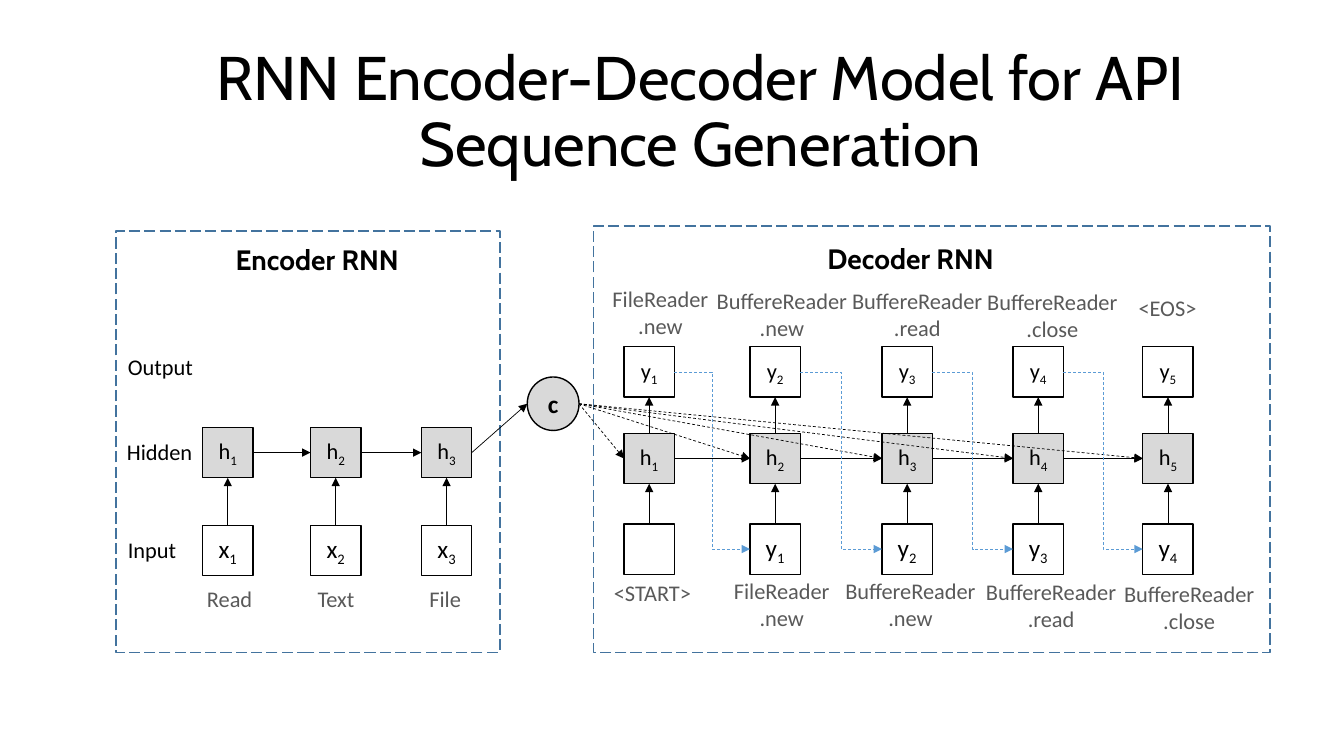
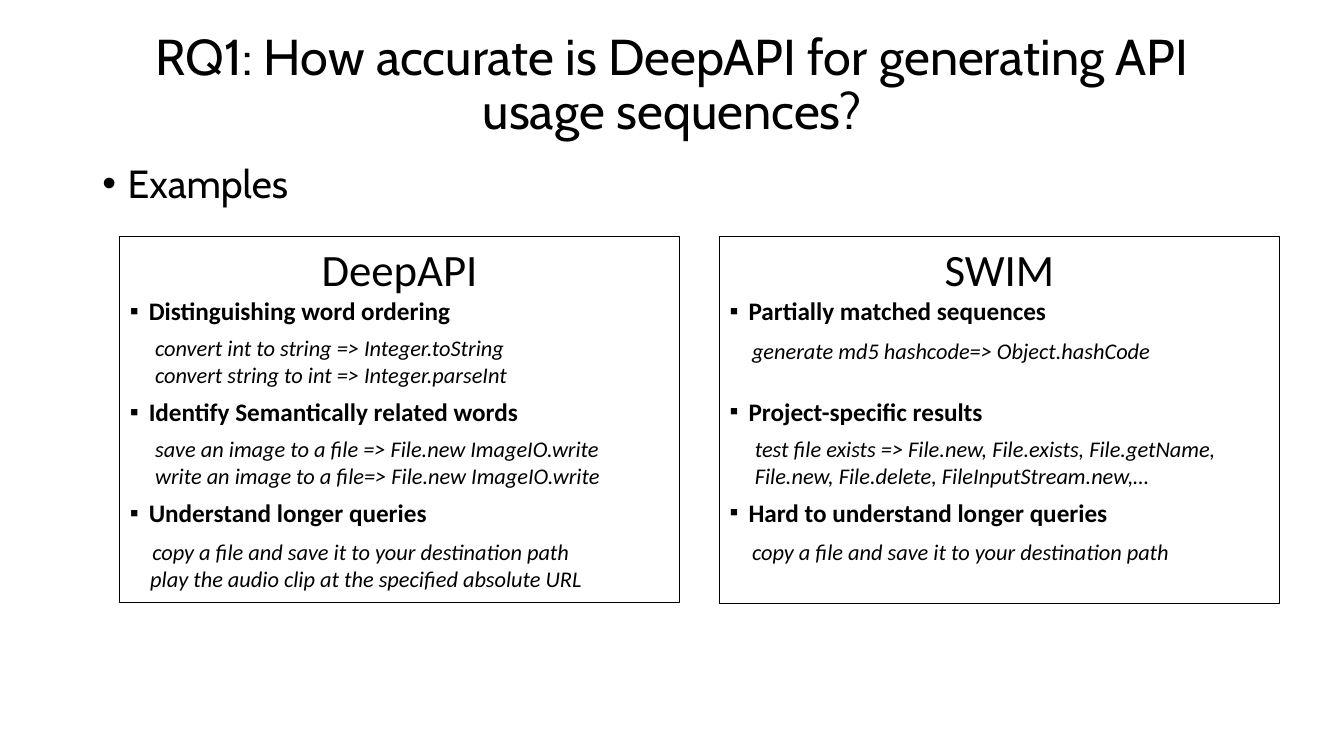
from dataclasses import dataclass

from lxml import etree
from pptx import Presentation
from pptx.dml.color import RGBColor
from pptx.enum.dml import MSO_LINE
from pptx.enum.shapes import MSO_CONNECTOR, MSO_SHAPE
from pptx.enum.text import MSO_ANCHOR, MSO_AUTO_SIZE, PP_ALIGN
from pptx.oxml.ns import qn
from pptx.shapes.autoshape import Shape
from pptx.slide import Slide
from pptx.util import Pt

RECTANGLE, OVAL = MSO_SHAPE.RECTANGLE, MSO_SHAPE.OVAL
STRAIGHT, ELBOW = MSO_CONNECTOR.STRAIGHT, MSO_CONNECTOR.ELBOW
DASH, LONG_DASH = MSO_LINE.DASH, MSO_LINE.LONG_DASH
LEFT_ALIGN, CENTER = PP_ALIGN.LEFT, PP_ALIGN.CENTER
TOP_ANCHOR, MIDDLE = MSO_ANCHOR.TOP, MSO_ANCHOR.MIDDLE
NO_AUTOFIT = MSO_AUTO_SIZE.NONE
TOP, LEFT, BOTTOM, RIGHT = range(4)

HEADING_FONT, TEXT_FONT = "Cabin", "Calibri"
BLACK, WHITE, GRAY = "000000", "FFFFFF", "595959"
STATE_FILL, FRAME_BLUE, FEEDBACK_BLUE = "D9D9D9", "43739E", "5B9BD5"
CELL = 36
LABEL_LINE = 19.5


@dataclass(frozen=True)
class Box:
    left: float
    top: float
    width: float
    height: float


@dataclass(frozen=True)
class TextStyle:
    size: float
    color: str = BLACK
    font: str = TEXT_FONT
    bold: bool = False
    italic: bool = False


@dataclass(frozen=True)
class CellRow:
    names: tuple[str, ...]
    lefts: tuple[float, ...]
    top: float
    size: float
    fill: str | None = None


@dataclass(frozen=True)
class Label:
    text: str
    left: float
    top: float
    width: float


@dataclass(frozen=True)
class Entry:
    text: str
    heading: bool = False
    indent: float = 18
    before: float = 0
    after: float = 0


@dataclass(frozen=True)
class Panel:
    title: str
    box: Box
    entries: tuple[Entry, ...]


ENCODER_LEFTS = (144.7, 221.8, 301)
DECODER_LEFTS = (445.7, 535.7, 630, 723.6, 816.3)
ENCODER_HIDDEN = CellRow(("h1", "h2", "h3"), ENCODER_LEFTS, 305.3, 16, STATE_FILL)
ENCODER_INPUT = CellRow(("x1", "x2", "x3"), ENCODER_LEFTS, 375.3, 18)
DECODER_OUTPUT = CellRow(("y1", "y2", "y3", "y4", "y5"), DECODER_LEFTS, 247.7, 16)
DECODER_HIDDEN = CellRow(("h1", "h2", "h3", "h4", "h5"), DECODER_LEFTS, 309.5, 16, STATE_FILL)
DECODER_INPUT = CellRow(("", "y1", "y2", "y3", "y4"), DECODER_LEFTS, 374.2, 18)

FRAMES = (Box(82.8, 165, 274.3, 301), Box(424.1, 161.3, 483.1, 304.7))
RNN_HEADINGS = (Label("Encoder RNN", 161.3, 170, 150), Label("Decoder RNN", 584, 169.2, 158))
ROW_NAMES = (
    Label("Output", 91.4, 252, 52),
    Label("Hidden", 90.7, 313.2, 52),
    Label("Input", 91.4, 383, 42),
)
TOKENS = (
    Label("Read", 144, 418.3, 40),
    Label("Text", 222, 418.3, 36),
    Label("File", 300, 418.3, 36),
    Label("FileReader\n.new", 432.7, 203.8, 78),
    Label("BuffereReader\n.new", 510.5, 205.2, 96),
    Label("BuffereReader\n.read", 606.2, 205.2, 98),
    Label("BuffereReader\n.close", 702.7, 205.9, 98),
    Label("<EOS>", 808, 210.2, 52),
    Label("<START>", 436, 414, 60),
    Label("FileReader\n.new", 523.4, 412.6, 70),
    Label("BuffereReader\n.new", 599.8, 412.6, 101),
    Label("BuffereReader\n.read", 701.3, 413.3, 99),
    Label("BuffereReader\n.close", 801.4, 414.7, 96),
)

PANELS = (
    Panel("DeepAPI", Box(85.7, 169.2, 399.6, 261), (
        Entry("Distinguishing word ordering", heading=True),
        Entry("convert int to string => Integer.toString", before=6),
        Entry("convert string to int => Integer.parseInt", after=6),
        Entry("Identify Semantically related words", heading=True),
        Entry("save an image to a file => File.new ImageIO.write", before=6),
        Entry("write an image to a file=> File.new ImageIO.write", after=6),
        Entry("Understand longer queries", heading=True),
        Entry("copy a file and save it to your destination path", indent=16, before=8),
        Entry("play the audio clip at the specified absolute URL", indent=14.5, after=6),
    )),
    Panel("SWIM", Box(514.1, 169.2, 399.6, 262), (
        Entry("Partially matched sequences", heading=True),
        Entry("generate md5 hashcode=> Object.hashCode", indent=16, before=8, after=6),
        Entry("Project-specific results", heading=True, before=17),
        Entry("test file exists => File.new, File.exists, File.getName, "
              "File.new, File.delete, FileInputStream.new,…", before=6, after=6),
        Entry("Hard to understand longer queries", heading=True),
        Entry("copy a file and save it to your destination path", indent=16, before=8, after=6),
    )),
)


def rgb(color: str) -> RGBColor:
    return RGBColor.from_string(color)


def format_runs(paragraph, style: TextStyle) -> None:
    for run in paragraph.runs:
        font = run.font
        font.name, font.size = style.font, Pt(style.size)
        font.bold, font.italic = style.bold, style.italic
        font.color.rgb = rgb(style.color)


def set_indent(paragraph, margin: float, first_line: float = 0, bullet: str = "") -> None:
    properties = paragraph._p.get_or_add_pPr()
    properties.set("marL", str(Pt(margin)))
    properties.set("indent", str(Pt(first_line)))
    if bullet:
        etree.SubElement(properties, qn("a:buFont")).set("typeface", "Arial")
        etree.SubElement(properties, qn("a:buChar")).set("char", bullet)


def place(shape: Shape, box: Box) -> None:
    shape.left, shape.top = Pt(box.left), Pt(box.top)
    shape.width, shape.height = Pt(box.width), Pt(box.height)


def write(shape: Shape, text: str, style: TextStyle, align=LEFT_ALIGN,
          anchor=TOP_ANCHOR, inset: bool = True) -> None:
    frame = shape.text_frame
    frame.text = text
    frame.word_wrap, frame.auto_size = True, NO_AUTOFIT
    frame.vertical_anchor = anchor
    frame.margin_left = frame.margin_right = Pt(7.2 if inset else 0)
    frame.margin_top = frame.margin_bottom = Pt(3.6 if inset else 0)
    for paragraph in frame.paragraphs:
        paragraph.alignment = align
        format_runs(paragraph, style)


def add_title(slide: Slide, text: str, box: Box, size: float) -> None:
    title = slide.shapes.title
    place(title, box)
    write(title, text, TextStyle(size, font=HEADING_FONT), CENTER, MIDDLE)
    title.text_frame.paragraphs[0].line_spacing = 0.9


def add_figure(slide: Slide, box: Box, geometry=RECTANGLE, fill: str | None = None,
               line: str | None = BLACK, weight: float = 1, dash=None) -> Shape:
    figure = slide.shapes.add_shape(
        geometry, Pt(box.left), Pt(box.top), Pt(box.width), Pt(box.height))
    figure.shadow.inherit = False
    if fill:
        figure.fill.solid()
        figure.fill.fore_color.rgb = rgb(fill)
    else:
        figure.fill.background()
    if line:
        figure.line.color.rgb = rgb(line)
        figure.line.width = Pt(weight)
        figure.line.dash_style = dash
    else:
        figure.line.fill.background()
    return figure


def add_cells(slide: Slide, row: CellRow) -> list[Shape]:
    cells = []
    for name, left in zip(row.names, row.lefts):
        cell = add_figure(slide, Box(left, row.top, CELL, CELL), fill=row.fill)
        if name:
            write(cell, name[0], TextStyle(row.size), CENTER, MIDDLE)
            paragraph = cell.text_frame.paragraphs[0]
            subscript = paragraph.add_run()
            subscript.text = name[1:]
            format_runs(paragraph, TextStyle(row.size))
            subscript.font._element.set("baseline", "-25000")
        cells.append(cell)
    return cells


def side_point(shape: Shape, side: int) -> tuple[int, int]:
    across = {LEFT: 0, RIGHT: 2}.get(side, 1)
    down = {TOP: 0, BOTTOM: 2}.get(side, 1)
    return shape.left + shape.width * across // 2, shape.top + shape.height * down // 2


def add_arrow(slide: Slide, source: Shape, source_side: int, target: Shape, target_side: int,
              kind=STRAIGHT, color: str = BLACK, dash=None) -> None:
    arrow = slide.shapes.add_connector(
        kind, *side_point(source, source_side), *side_point(target, target_side))
    if source.auto_shape_type == RECTANGLE:
        arrow.begin_connect(source, source_side)
    if target.auto_shape_type == RECTANGLE:
        arrow.end_connect(target, target_side)
    arrow.line.color.rgb = rgb(color)
    arrow.line.width = Pt(0.5)
    arrow.line.dash_style = dash
    etree.SubElement(arrow.line._get_or_add_ln(), qn("a:tailEnd")).set("type", "triangle")
    etree.SubElement(arrow._element.spPr, qn("a:effectLst"))


def add_text(slide: Slide, label: Label, style: TextStyle, inset: bool = False) -> None:
    height = 32 if inset else LABEL_LINE
    text_box = slide.shapes.add_textbox(
        Pt(label.left), Pt(label.top), Pt(label.width), Pt(height))
    write(text_box, label.text, style, inset=inset)


def add_token(slide: Slide, token: Label) -> None:
    height = LABEL_LINE * len(token.text.splitlines())
    box = Box(token.left, token.top, token.width, height)
    write(add_figure(slide, box, fill=WHITE, line=None), token.text,
          TextStyle(16, GRAY), CENTER, inset=False)


def add_panel(slide: Slide, panel: Panel) -> None:
    frame = add_figure(slide, panel.box, weight=0.75)
    write(frame, panel.title, TextStyle(32), CENTER)
    for entry in panel.entries:
        paragraph = frame.text_frame.add_paragraph()
        paragraph.text = entry.text
        paragraph.alignment = LEFT_ALIGN
        paragraph.space_before, paragraph.space_after = Pt(entry.before), Pt(entry.after)
        if entry.heading:
            set_indent(paragraph, 13.5, -13.5, "▪")
            format_runs(paragraph, TextStyle(18, bold=True))
        else:
            set_indent(paragraph, entry.indent)
            format_runs(paragraph, TextStyle(16, italic=True))


def build_model_slide(slide: Slide) -> None:
    add_title(slide, "RNN Encoder-Decoder Model for API Sequence Generation",
              Box(66, 28.8, 869, 104.4), 44)
    for frame in FRAMES:
        add_figure(slide, frame, line=FRAME_BLUE, dash=LONG_DASH)
    for heading in RNN_HEADINGS:
        add_text(slide, heading, TextStyle(20, font=HEADING_FONT, bold=True), inset=True)
    for row_name in ROW_NAMES:
        add_text(slide, row_name, TextStyle(16))
    for token in TOKENS:
        add_token(slide, token)

    encoder_states, encoder_inputs, outputs, decoder_states, decoder_inputs = (
        add_cells(slide, row) for row in
        (ENCODER_HIDDEN, ENCODER_INPUT, DECODER_OUTPUT, DECODER_HIDDEN, DECODER_INPUT))
    context = add_figure(slide, Box(376.6, 269.3, 37, 38.2), OVAL, STATE_FILL)
    write(context, "c", TextStyle(18, bold=True), CENTER, MIDDLE)

    for lower, upper in ((encoder_inputs, encoder_states), (decoder_inputs, decoder_states),
                         (decoder_states, outputs)):
        for source, target in zip(lower, upper):
            add_arrow(slide, source, TOP, target, BOTTOM)
    for states in (encoder_states, decoder_states):
        for source, target in zip(states, states[1:]):
            add_arrow(slide, source, RIGHT, target, LEFT)
    add_arrow(slide, encoder_states[-1], RIGHT, context, LEFT)
    for state in decoder_states:
        add_arrow(slide, context, RIGHT, state, LEFT, dash=DASH)
    for output, next_input in zip(outputs, decoder_inputs[1:]):
        add_arrow(slide, output, RIGHT, next_input, LEFT, ELBOW, FEEDBACK_BLUE, DASH)


def build_examples_slide(slide: Slide) -> None:
    add_title(slide, "RQ1: How accurate is DeepAPI for generating API usage sequences?",
              Box(66, 9.4, 828, 104.4), 36)
    body = slide.placeholders[1]
    place(body, Box(66, 113.8, 838, 40.3))
    write(body, "Examples", TextStyle(28, font=HEADING_FONT))
    examples = body.text_frame.paragraphs[0]
    examples.line_spacing, examples.space_before = 0.9, Pt(10)
    set_indent(examples, 18, -18, "•")
    for panel in PANELS:
        add_panel(slide, panel)


def main() -> None:
    deck = Presentation()
    deck.slide_width, deck.slide_height = Pt(960), Pt(540)
    build_model_slide(deck.slides.add_slide(deck.slide_layouts[5]))
    build_examples_slide(deck.slides.add_slide(deck.slide_layouts[1]))
    deck.save("out.pptx")


if __name__ == "__main__":
    main()
